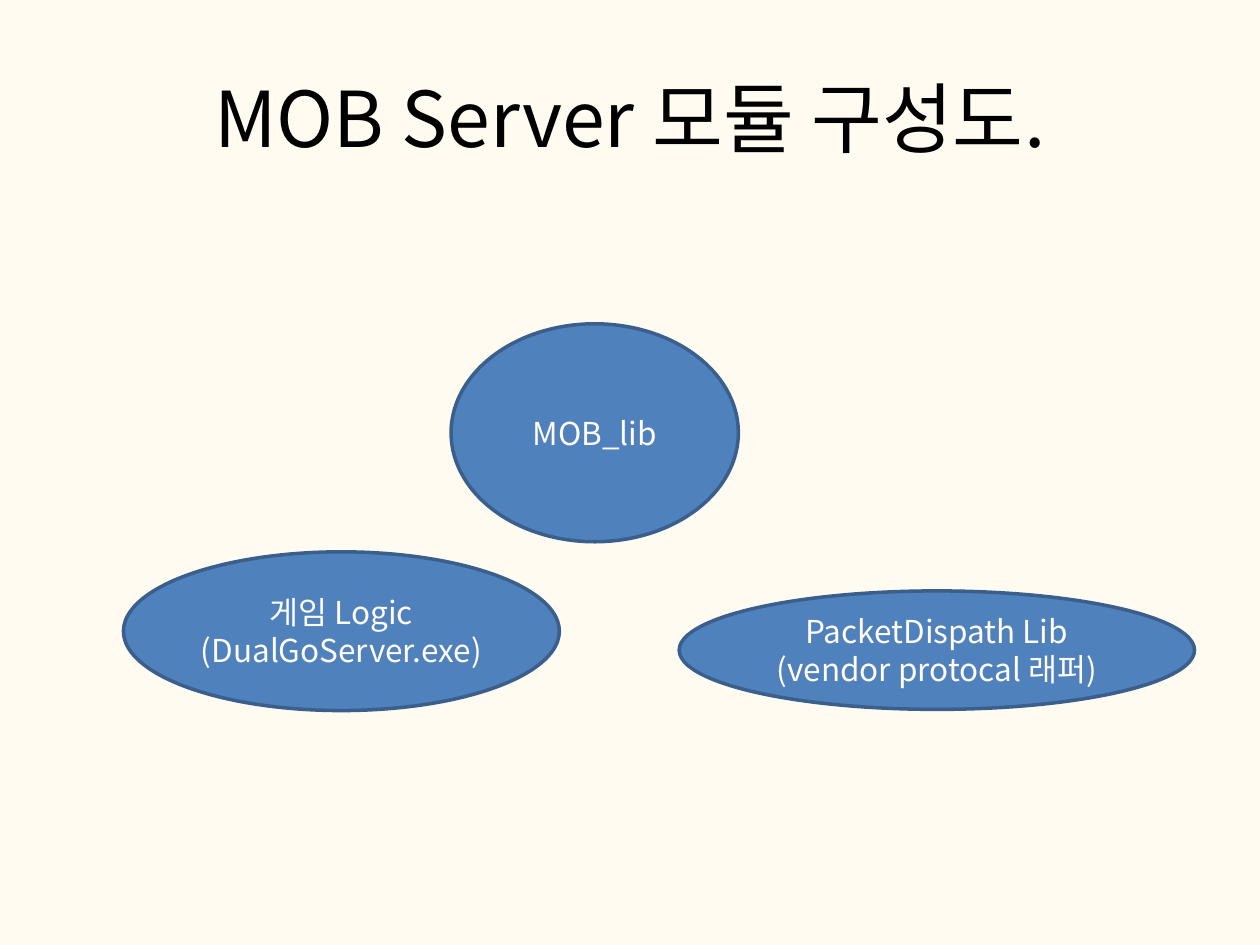
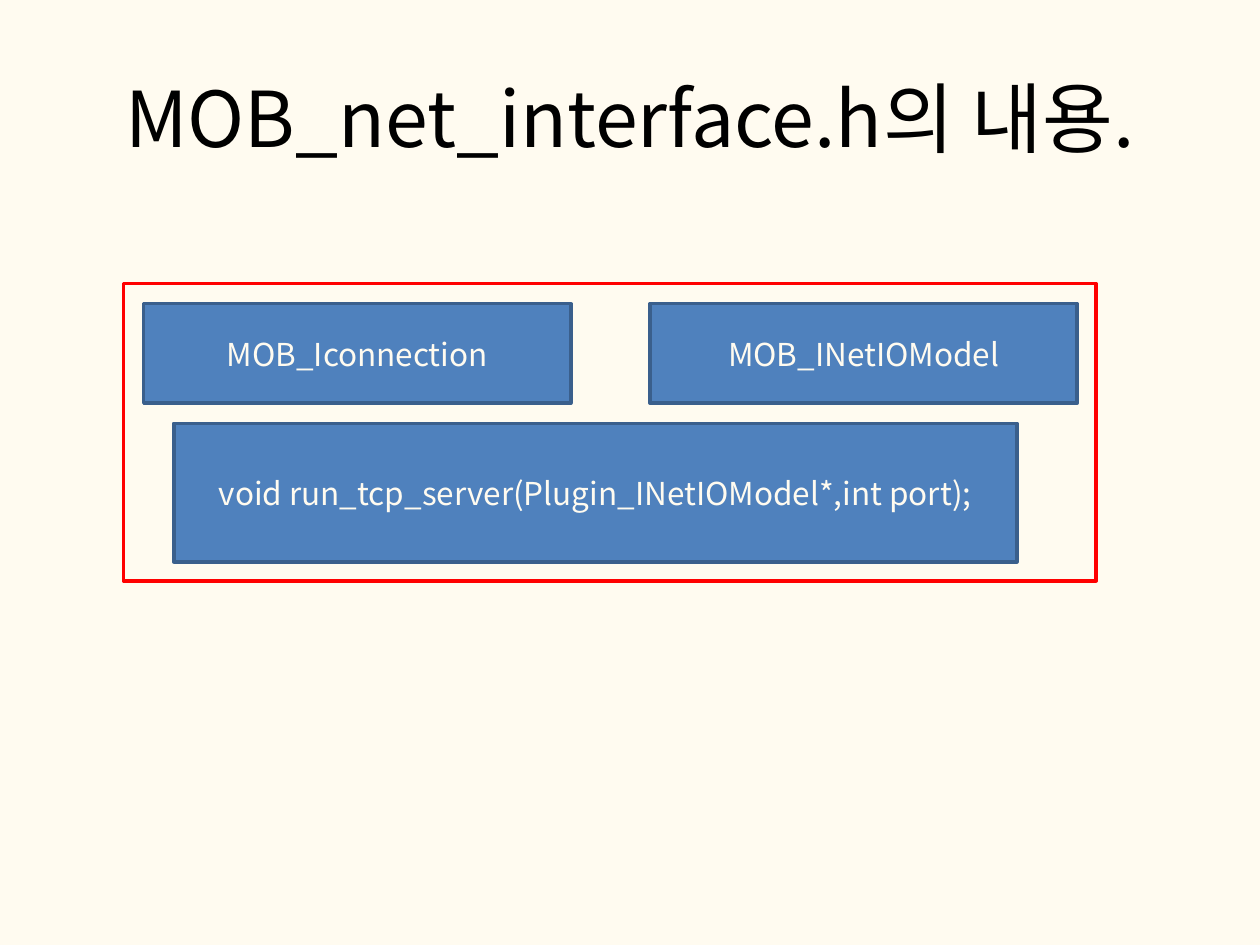
from dataclasses import dataclass

from lxml.etree import SubElement
from pptx import Presentation
from pptx.dml.color import RGBColor
from pptx.enum.shapes import MSO_SHAPE
from pptx.enum.text import MSO_ANCHOR, MSO_AUTO_SIZE, PP_ALIGN
from pptx.oxml.ns import qn
from pptx.slide import Slide
from pptx.text.text import TextFrame
from pptx.util import Pt

PX = 9144  # EMU per px, 100 px to the inch
FONT = "Noto Sans CJK KR"
TITLE_ONLY = 5
COLORS = {
    "cream": "FFFBF0",
    "black": "000000",
    "blue": "4F81BD",
    "navy": "3A5F8C",
    "red": "FF0000",
}


@dataclass(frozen=True)
class Box:
    left: int
    top: int
    width: int
    height: int

    def emu(self) -> tuple[int, ...]:
        return tuple(n * PX for n in (self.left, self.top, self.width, self.height))


@dataclass(frozen=True)
class Module:
    box: Box
    label: str = ""
    outline: MSO_SHAPE = MSO_SHAPE.RECTANGLE
    fill: str | None = "blue"
    line: str = "navy"


def rgb(name: str) -> RGBColor:
    return RGBColor.from_string(COLORS[name])


def write(frame: TextFrame, text: str, *, size: int = 18, color: str = "cream") -> None:
    """Fill the frame with centred text, one paragraph per line."""
    frame.word_wrap = True
    frame.auto_size = MSO_AUTO_SIZE.NONE
    frame.vertical_anchor = MSO_ANCHOR.MIDDLE
    frame.text = text
    for paragraph in frame.paragraphs:
        paragraph.alignment = PP_ALIGN.CENTER
        for run in paragraph.runs:
            run.font.size = Pt(size)
            run.font.name = FONT
            run.font.color.rgb = rgb(color)
            east_asian = SubElement(run.font._element, qn("a:ea"))
            east_asian.set("typeface", FONT)


def draw_module(slide: Slide, module: Module) -> None:
    shape = slide.shapes.add_shape(module.outline, *module.box.emu())
    shape.shadow.inherit = False
    if module.fill:
        shape.fill.solid()
        shape.fill.fore_color.rgb = rgb(module.fill)
    else:
        shape.fill.background()
    shape.line.color.rgb = rgb(module.line)
    shape.line.width = Pt(2)
    if module.label:
        write(shape.text_frame, module.label)


def add_slide(prs: Presentation, heading: str, modules: list[Module]) -> None:
    slide = prs.slides.add_slide(prs.slide_layouts[TITLE_ONLY])
    title = slide.shapes.title
    title.left, title.top, title.width, title.height = Box(50, 30, 900, 125).emu()
    write(title.text_frame, heading, size=44, color="black")
    for module in modules:
        draw_module(slide, module)


SERVER_MODULES = [
    Module(box, label, MSO_SHAPE.OVAL)
    for box, label in (
        (Box(358, 257, 228, 173), "MOB_lib"),
        (Box(98, 438, 346, 126), "게임 Logic\n(DualGoServer.exe)"),
        (Box(539, 469, 409, 94), "PacketDispath Lib\n(vendor protocal 래퍼)"),
    )
]

INTERFACE_LEFT, INTERFACE_STEP = 114, 402
HEADER_CONTENTS = [
    Module(Box(INTERFACE_LEFT + i * INTERFACE_STEP, 241, 339, 79), name)
    for i, name in enumerate(("MOB_Iconnection", "MOB_INetIOModel"))
] + [
    Module(Box(138, 336, 669, 110), "void run_tcp_server(Plugin_INetIOModel*,int port);"),
    Module(Box(98, 225, 772, 236), fill=None, line="red"),
]


def main() -> None:
    prs = Presentation()
    prs.slide_width, prs.slide_height = 1000 * PX, 750 * PX
    background = prs.slide_master.background.fill
    background.solid()
    background.fore_color.rgb = rgb("cream")
    add_slide(prs, "MOB Server 모듈 구성도.", SERVER_MODULES)
    add_slide(prs, "MOB_net_interface.h의 내용.", HEADER_CONTENTS)
    prs.save("out.pptx")


if __name__ == "__main__":
    main()
